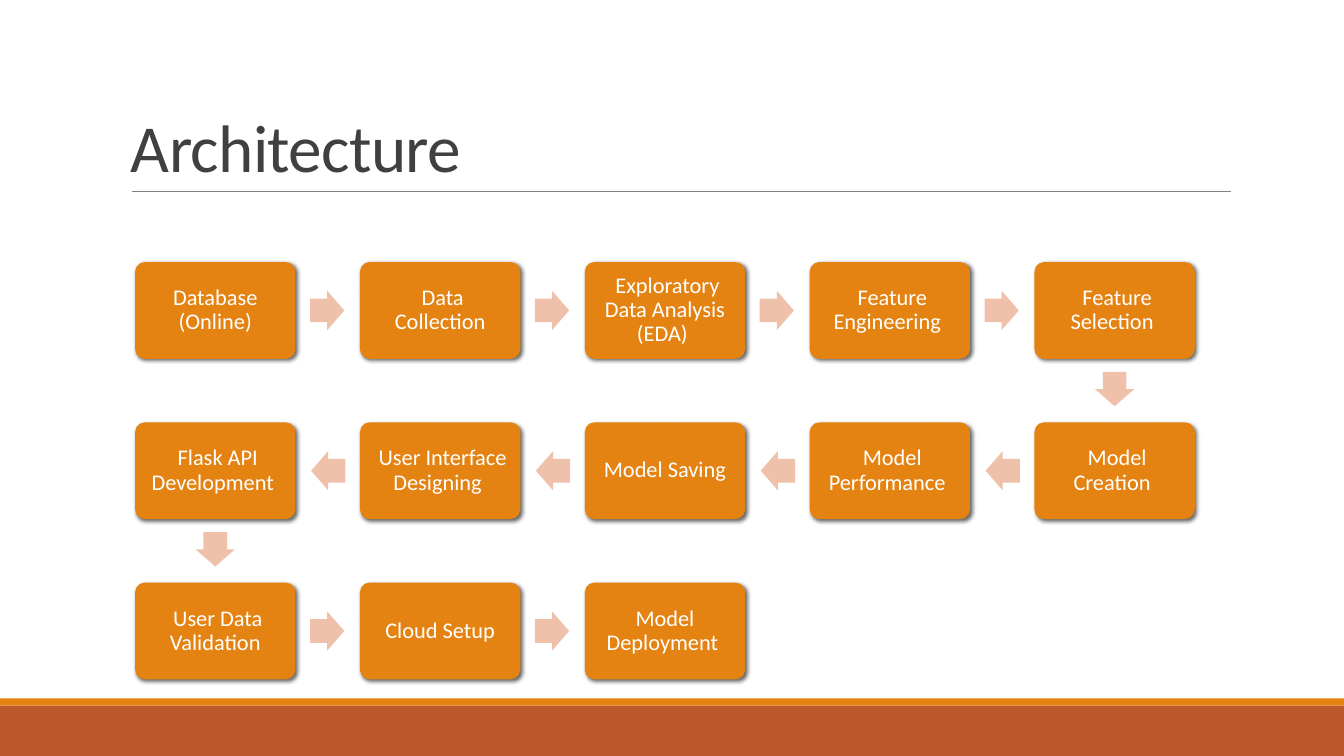
from lxml.etree import SubElement
from pptx import Presentation
from pptx.dml.color import RGBColor
from pptx.enum.shapes import MSO_CONNECTOR as CONNECTOR, MSO_SHAPE as SHAPE
from pptx.enum.text import MSO_ANCHOR as ANCHOR, PP_ALIGN as ALIGN
from pptx.oxml.ns import qn
from pptx.util import Inches, Pt

COLORS = {
    "orange": "E48312",
    "rust": "BD582C",
    "peach": "EFC1AB",
    "rule": "808080",
    "title": "404040",
    "white": "FFFFFF",
    "black": "000000",
}
STEPS = [
    "Database (Online)",
    " Data Collection",
    " Exploratory Data Analysis (EDA) ",
    " Feature Engineering ",
    " Feature Selection ",
    " Model Creation ",
    " Model Performance ",
    " Model Saving ",
    " User Interface Designing ",
    " Flask API Development ",
    " User Data Validation",
    " Cloud Setup ",
    "Model Deployment ",
]
COLUMNS = 5
LEFT, TOP = 1.34, 2.6
COLUMN_STEP, ROW_STEP = 2.23, 1.59
BOX_WIDTH, BOX_HEIGHT = 1.59, 0.96
ARROW_WIDTH, ARROW_HEIGHT = 0.34, 0.39
ARROW_OFFSETS = {0: (1.11, 0), 90: (0, 0.78), 180: (-1.11, 0)}


class SlideBuilder:
    font = "Calibri"

    def __init__(self, page):
        self.page = page

    def color(self, name):
        return RGBColor.from_string(COLORS[name])

    def shape(self, kind, left, top, width, height, fill):
        shape = self.page.shapes.add_shape(
            kind, Inches(left), Inches(top), Inches(width), Inches(height))
        shape.shadow.inherit = False
        shape.fill.solid()
        shape.fill.fore_color.rgb = self.color(fill)
        shape.line.fill.background()
        return shape

    def rule(self, left, right, y):
        line = self.page.shapes.add_connector(
            CONNECTOR.STRAIGHT, Inches(left), Inches(y), Inches(right), Inches(y))
        line.line.color.rgb = self.color("rule")
        line.line.width = Pt(0.5)
        SubElement(line._element.spPr, qn("a:effectLst"))

    def add_text(self, frame, text, size, color, align, spacing):
        frame.word_wrap = True
        para = frame.paragraphs[0]
        para.alignment = align
        para.line_spacing = spacing
        span = para.add_run()
        span.text = text
        span.font.name = self.font
        span.font.size = Pt(size)
        span.font.color.rgb = self.color(color)
        return span

    def title(self, text):
        box = self.page.shapes.add_textbox(
            Inches(1.2), Inches(0.31), Inches(11), Inches(1.59))
        box.text_frame.vertical_anchor = ANCHOR.BOTTOM
        span = self.add_text(box.text_frame, text, 48, "title", ALIGN.LEFT, 0.85)
        span.font._element.set("spc", "-50")

    def cast_shadow(self, shape):
        effects = shape._element.spPr.find(qn("a:effectLst"))
        shadow = SubElement(effects, qn("a:outerShdw"), blurRad=str(Pt(3)),
                            dist=str(Pt(2)), dir="2700000", rotWithShape="0")
        tint = SubElement(shadow, qn("a:srgbClr"), val=COLORS["black"])
        SubElement(tint, qn("a:alpha"), val="60000")

    def step(self, text, left, top):
        box = self.shape(SHAPE.ROUNDED_RECTANGLE, left, top,
                         BOX_WIDTH, BOX_HEIGHT, "orange")
        box.adjustments[0] = 0.1
        self.cast_shadow(box)
        frame = box.text_frame
        frame.margin_left = frame.margin_right = Inches(0.1)
        frame.margin_top = frame.margin_bottom = Inches(0.1)
        frame.vertical_anchor = ANCHOR.MIDDLE
        self.add_text(frame, text, 16, "white", ALIGN.CENTER, 0.9)

    def arrow(self, center_x, center_y, rotation):
        arrow = self.shape(SHAPE.RIGHT_ARROW, center_x - ARROW_WIDTH / 2,
                           center_y - ARROW_HEIGHT / 2,
                           ARROW_WIDTH, ARROW_HEIGHT, "peach")
        arrow.adjustments[0] = 0.6
        arrow.adjustments[1] = 0.5
        arrow.rotation = rotation


def main():
    deck = Presentation()
    deck.slide_width = Inches(13.33)
    deck.slide_height = Inches(7.5)
    builder = SlideBuilder(deck.slides.add_slide(deck.slide_layouts[6]))

    builder.shape(SHAPE.RECTANGLE, 0, 7, 13.33, 0.5, "rust")
    builder.shape(SHAPE.RECTANGLE, 0, 6.93, 13.33, 0.07, "orange")
    builder.rule(1.31, 12.21, 1.9)
    builder.title("Architecture")

    for index, text in enumerate(STEPS):
        row, place = divmod(index, COLUMNS)
        backward = row % 2 == 1
        column = COLUMNS - 1 - place if backward else place
        left = LEFT + column * COLUMN_STEP
        top = TOP + row * ROW_STEP
        builder.step(text, left, top)
        if index < len(STEPS) - 1:
            row_ends = place == COLUMNS - 1
            rotation = 90 if row_ends else 180 if backward else 0
            shift_x, shift_y = ARROW_OFFSETS[rotation]
            builder.arrow(left + BOX_WIDTH / 2 + shift_x,
                          top + BOX_HEIGHT / 2 + shift_y, rotation)

    deck.save("out.pptx")


if __name__ == "__main__":
    main()
